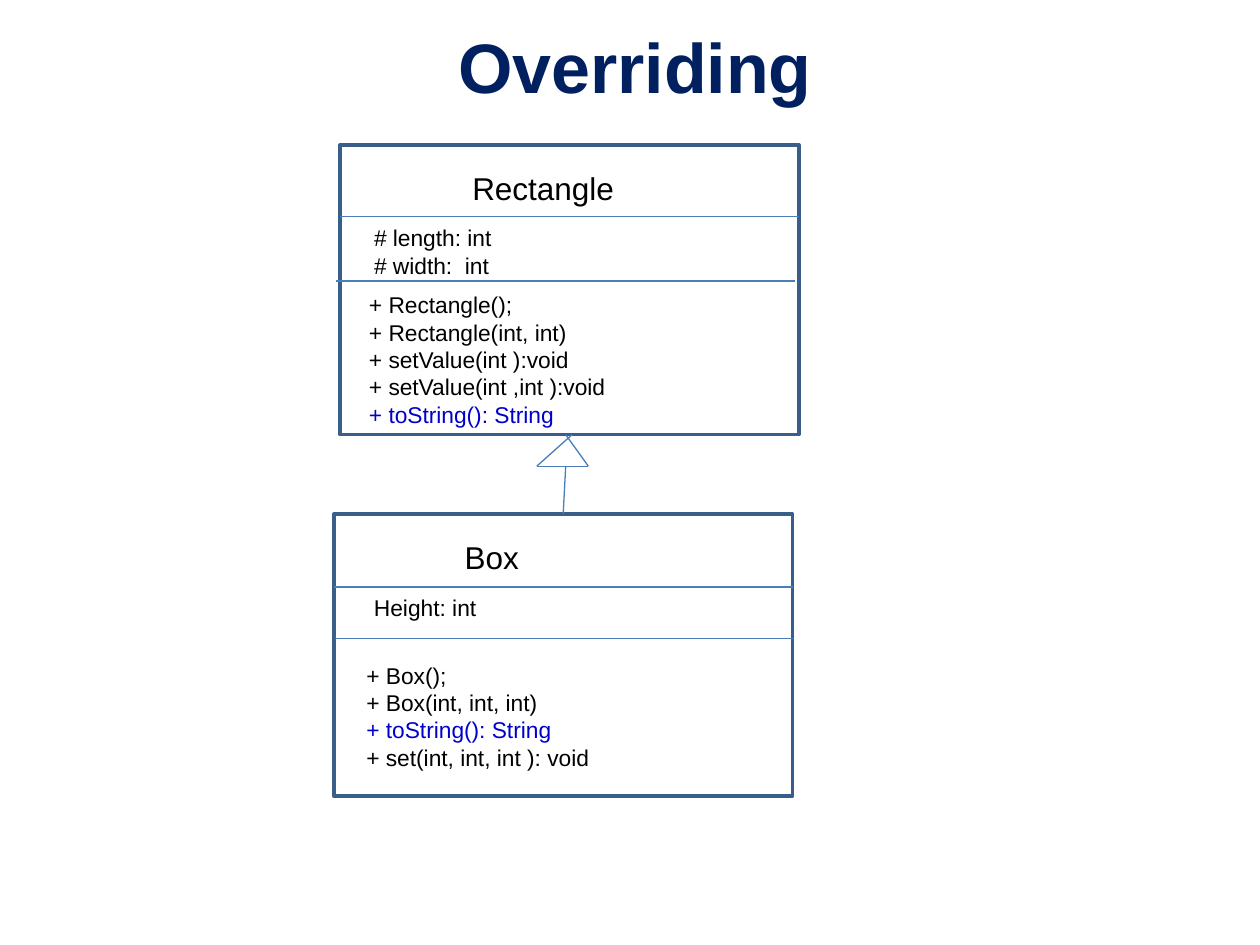
from dataclasses import dataclass

from lxml.etree import SubElement
from pptx import Presentation
from pptx.dml.color import RGBColor
from pptx.enum.shapes import MSO_CONNECTOR, MSO_SHAPE
from pptx.enum.text import MSO_ANCHOR, PP_ALIGN
from pptx.oxml.ns import qn
from pptx.util import Inches, Pt

NAVY = RGBColor(0x00, 0x20, 0x60)
BORDER = RGBColor(0x39, 0x5E, 0x89)
LINE = RGBColor(0x4A, 0x7D, 0xBA)
BLACK = RGBColor(0x00, 0x00, 0x00)
BLUE = RGBColor(0x00, 0x00, 0xCC)
FONT = "Arial"
CLASS_WIDTH = 3.64
OVERRIDDEN = "+ toString(): String"


@dataclass(frozen=True)
class Label:
    left: float
    top: float
    width: float
    height: float
    lines: tuple[str, ...]
    size: int = 13
    color: RGBColor = BLACK
    bold: bool = False


@dataclass(frozen=True)
class Divider:
    left: float
    top: float


@dataclass(frozen=True)
class UmlClass:
    left: float
    top: float
    height: float
    dividers: tuple[Divider, ...]
    labels: tuple[Label, ...]


TITLE = Label(0.54, 0.13, 9, 0.78, ("Overriding",), 40, NAVY, True)

BOX = UmlClass(
    2.65, 4.08, 2.24,
    (Divider(2.65, 4.66), Divider(2.66, 5.07)),
    (
        Label(3.59, 4.22, 0.64, 0.4, ("Box",), 18),
        Label(2.82, 4.66, 1.07, 0.54, (" Height: int",)),
        Label(2.81, 5.2, 3.34, 0.98, (
            "+ Box();", "+ Box(int, int, int)", OVERRIDDEN,
            "+ set(int, int, int ): void")),
    ),
)

RECTANGLE = UmlClass(
    2.7, 1.15, 2.3,
    (Divider(2.7, 1.72), Divider(2.67, 2.23)),
    (
        Label(3.65, 1.29, 1.34, 0.4, ("Rectangle",), 18),
        Label(2.87, 1.73, 1.15, 0.76, ("# length: int", "# width:  int")),
        Label(2.83, 2.26, 3.19, 1.19, (
            "+ Rectangle();", "+ Rectangle(int, int)", "+ setValue(int ):void",
            "+ setValue(int ,int ):void", OVERRIDDEN)),
    ),
)

ARROWHEAD = (
    (4.49, 3.45, 4.67, 3.7),
    (4.54, 3.45, 4.26, 3.7),
    (4.26, 3.7, 4.67, 3.7),
)


def add_label(s, label: Label):
    sp = s.shapes.add_textbox(Inches(label.left), Inches(label.top),
                              Inches(label.width), Inches(label.height))
    tf = sp.text_frame
    tf.text = "\n".join(label.lines)
    for p in tf.paragraphs:
        for r in p.runs:
            r.font.name = FONT
            r.font.size = Pt(label.size)
            r.font.bold = label.bold
            r.font.color.rgb = BLUE if r.text == OVERRIDDEN else label.color
    return sp


def add_line(s, x1: float, y1: float, x2: float, y2: float):
    line = s.shapes.add_connector(MSO_CONNECTOR.STRAIGHT, Inches(x1), Inches(y1),
                                  Inches(x2), Inches(y2))
    line.line.color.rgb = LINE
    line.line.width = Pt(0.75)
    SubElement(line._element.spPr, qn("a:effectLst"))
    return line


def add_class(s, uml: UmlClass):
    frame = s.shapes.add_shape(MSO_SHAPE.RECTANGLE, Inches(uml.left), Inches(uml.top),
                               Inches(CLASS_WIDTH), Inches(uml.height))
    frame.shadow.inherit = False
    frame.fill.background()
    frame.line.color.rgb = BORDER
    frame.line.width = Pt(2)
    for divider in uml.dividers:
        add_line(s, divider.left, divider.top, divider.left + CLASS_WIDTH, divider.top)
    for label in uml.labels:
        add_label(s, label)
    return frame


def main() -> None:
    prs = Presentation()
    prs.slide_width, prs.slide_height = Inches(10), Inches(7.5)
    s = prs.slides.add_slide(prs.slide_layouts[6])

    title = add_label(s, TITLE)
    title.text_frame.word_wrap = True
    title.text_frame.vertical_anchor = MSO_ANCHOR.MIDDLE
    title.text_frame.paragraphs[0].alignment = PP_ALIGN.CENTER

    box = add_class(s, BOX)
    add_class(s, RECTANGLE)

    stem = add_line(s, 4.47, 4.08, 4.49, 3.7)
    stem.begin_connect(box, 0)
    for edge in ARROWHEAD:
        add_line(s, *edge)

    prs.save("out.pptx")


if __name__ == "__main__":
    main()
